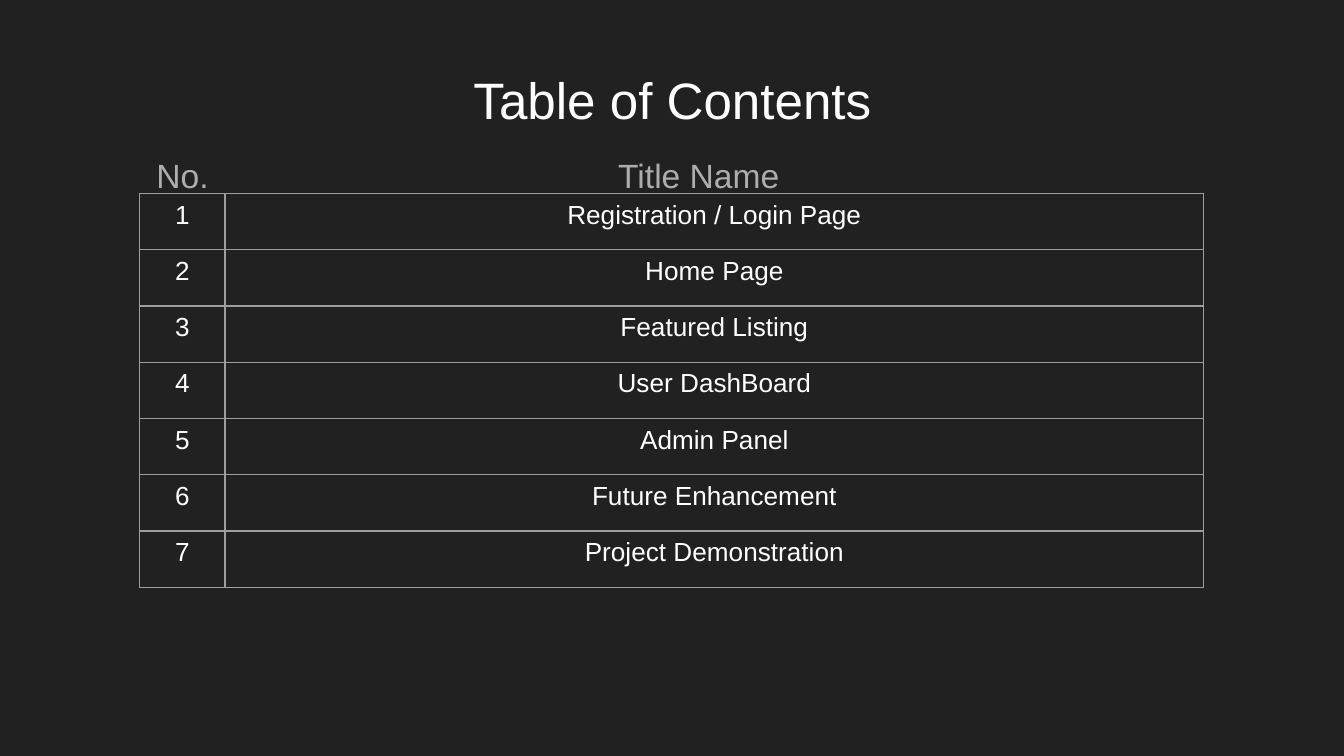
from lxml.etree import SubElement
from pptx import Presentation
from pptx.dml.color import RGBColor
from pptx.enum.text import MSO_ANCHOR, PP_ALIGN
from pptx.oxml.ns import qn
from pptx.util import Pt

TOPICS = ["Registration / Login Page", "Home Page", "Featured Listing",
          "User DashBoard", "Admin Panel", "Future Enhancement",
          "Project Demonstration"]


def colour(hex_code):
    """Turn a hex string into a colour."""
    return RGBColor.from_string(hex_code)


def assign(target, values):
    """Set each named attribute on the target."""
    for name, value in values.items():
        setattr(target, name, value)


class ContentsSlide:
    """Holds the style and the current slide."""
    font = "Arial"
    background, light, muted, border = "212121", "FFFFFF", "ADADAD", "9E9E9E"
    border_width = 0.74

    def __init__(self, deck):
        """Add a blank slide with a dark background."""
        self.slide = deck.slides.add_slide(deck.slide_layouts[6])
        fill = self.slide.background.fill
        fill.solid()
        fill.fore_color.rgb = colour(self.background)

    def fill_text(self, frame, text, size, ink, **paragraph_format):
        """Fill a text frame with one styled paragraph."""
        paragraph = frame.paragraphs[0]
        assign(paragraph, paragraph_format)
        run = paragraph.add_run()
        run.text = text
        assign(run.font, {"name": self.font, "size": Pt(size)})
        run.font.color.rgb = colour(ink)
        return paragraph

    def text(self, box, insets, text, size, ink, **paragraph_format):
        """Add a wrapped text box; insets are left and top."""
        frame = self.slide.shapes.add_textbox(*map(Pt, box)).text_frame
        left, top = insets
        assign(frame, {"word_wrap": True, "vertical_anchor": MSO_ANCHOR.TOP,
                       "margin_left": Pt(left), "margin_right": 0,
                       "margin_top": Pt(top), "margin_bottom": Pt(7.2)})
        return self.fill_text(frame, text, size, ink, **paragraph_format)

    def tab_stop(self, paragraph, position):
        """Give a paragraph one left tab stop."""
        properties = paragraph._p.get_or_add_pPr()
        stops = SubElement(properties, qn("a:tabLst"))
        SubElement(stops, qn("a:tab"), pos=str(Pt(position)), algn="l")

    def outline(self, cell):
        """Draw all four borders of a cell."""
        properties = cell._tc.get_or_add_tcPr()
        for index, side in enumerate(("a:lnL", "a:lnR", "a:lnT", "a:lnB")):
            line = properties.makeelement(
                qn(side), {"w": str(Pt(self.border_width))})
            fill = SubElement(line, qn("a:solidFill"))
            SubElement(fill, qn("a:srgbClr"), val=self.border)
            properties.insert(index, line)

    def table(self, left, top, widths, row_height, rows, size):
        """Add an outlined table with centred text."""
        grid = self.slide.shapes.add_table(
            len(rows), len(widths), Pt(left), Pt(top),
            Pt(sum(widths)), Pt(row_height * len(rows))).table
        assign(grid, {"first_row": False, "horz_banding": False})
        for column, width in zip(grid.columns, widths):
            column.width = Pt(width)
        for row, values in zip(grid.rows, rows):
            row.height = Pt(row_height)
            for cell, value in zip(row.cells, values):
                cell.fill.background()
                self.outline(cell)
                assign(cell, {"margin_left": Pt(7.2), "margin_right": Pt(7.2),
                              "margin_top": Pt(3.6), "margin_bottom": Pt(3.6)})
                self.fill_text(cell.text_frame, value, size, self.light,
                               alignment=PP_ALIGN.CENTER)


deck = Presentation()
assign(deck, {"slide_width": Pt(720), "slide_height": Pt(405)})
contents = ContentsSlide(deck)
contents.text((64.6, 26, 591, 47.5), (0, 10.4), "Table of Contents", 27.4,
              contents.light, alignment=PP_ALIGN.CENTER)
headings = contents.text((64.6, 70.6, 591, 278.6), (19.2, 9.2),
                         "No.\tTitle Name", 18, contents.muted,
                         line_spacing=1.15, space_after=Pt(12))
contents.tab_stop(headings, 247.4)
contents.table(74.9, 103.7, (45.7, 524.3), 30.14,
               [(str(number), topic) for number, topic in enumerate(TOPICS, 1)],
               14)
deck.save("out.pptx")
